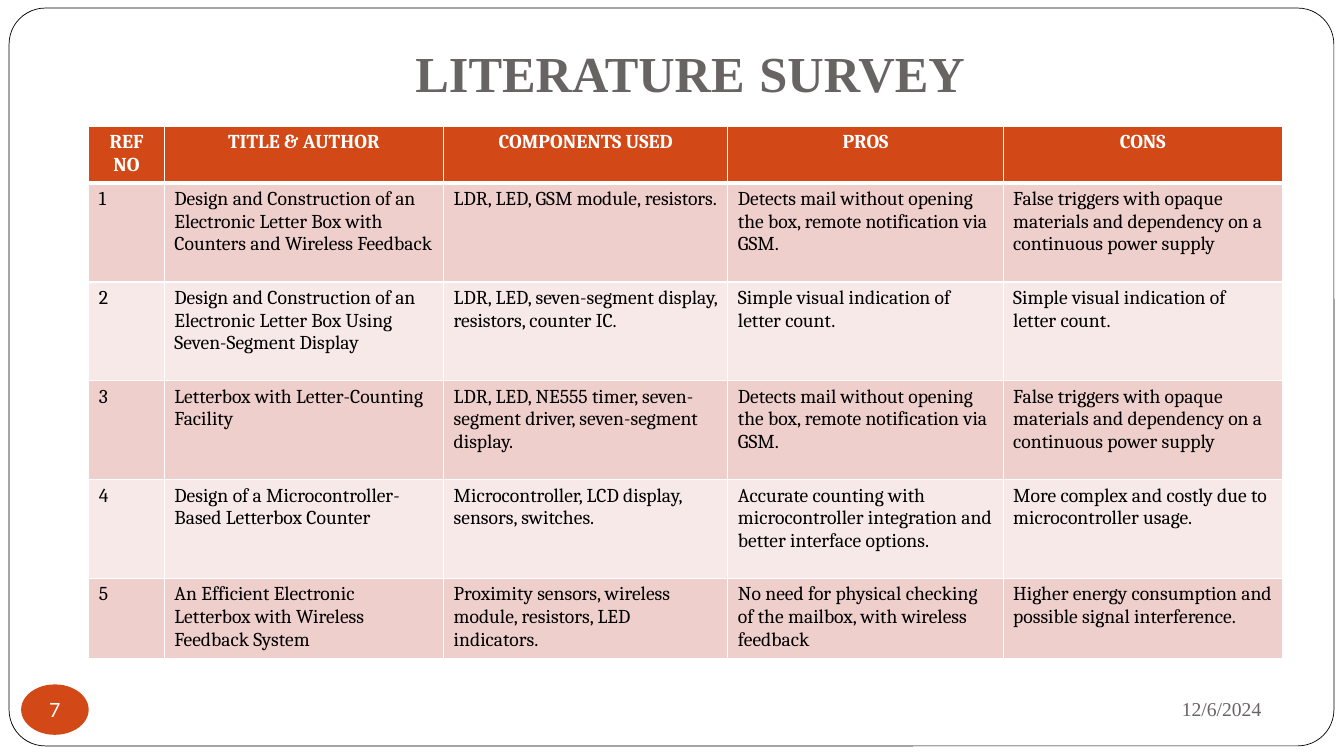
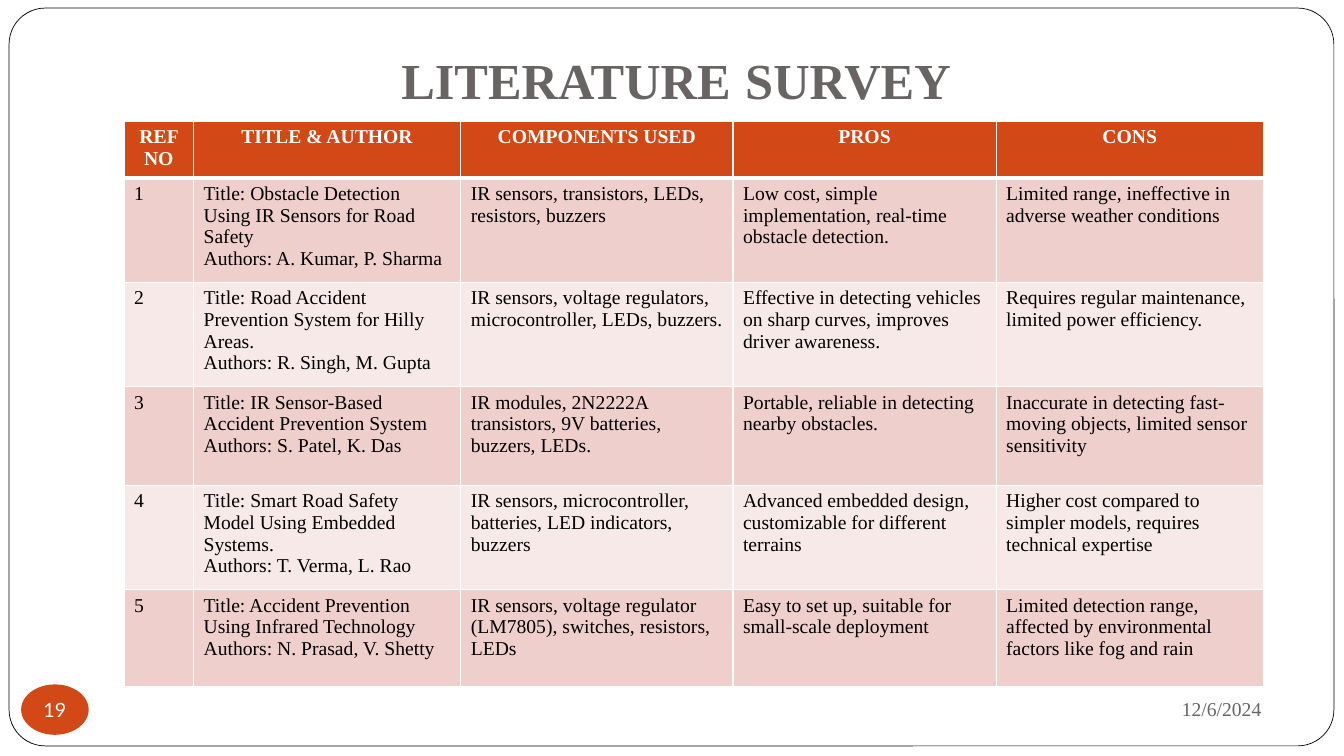
"""Build two literature survey slides with a shared frame, title, table style and footer."""
from lxml.etree import SubElement
from pptx import Presentation
from pptx.dml.color import RGBColor
from pptx.enum.shapes import MSO_SHAPE as Preset
from pptx.enum.text import MSO_ANCHOR as Anchor, PP_ALIGN as Align
from pptx.oxml.ns import qn
from pptx.util import Inches, Pt

WHITE = RGBColor(0xFF, 0xFF, 0xFF)
BLACK = RGBColor(0, 0, 0)
GREY = RGBColor(0x69, 0x64, 0x64)
ORANGE = RGBColor(0xD3, 0x48, 0x17)
BANDS = RGBColor(0xEF, 0xCF, 0xCC), RGBColor(0xF7, 0xE9, 0xE8)
SERIF, SANS = "Times New Roman", "Lato"

DATE = "12/6/2024"
TITLE_RUNS = [
    ("LITERATURE", dict(name=SERIF, size=Pt(36), bold=True)),
    (" ", dict(name=SANS, size=Pt(40), bold=False)),
    ("SURVEY", dict(name=SERIF, size=Pt(36), bold=True)),
]
HEADINGS = ["REF NO", "TITLE & AUTHOR", "COMPONENTS USED", "PROS", "CONS"]
HEADER_HEIGHT, ROW_HEIGHT = 0.53, 0.98

SURVEYS = [
    dict(
        number=7,
        title_box=(1.18, 0.3, 11.33, 0.83),
        table_at=(0.88, 1.25),
        columns=[0.75, 2.77, 2.82, 2.73, 2.77],
        last_row=0.75,
        font="Cambria",
        entries=[
            ("Design and Construction of an Electronic Letter Box with Counters and Wireless Feedback",
             "LDR, LED, GSM module, resistors.",
             "Detects mail without opening the box, remote notification via GSM.",
             "False triggers with opaque materials and dependency on a continuous power supply"),
            ("Design and Construction of an Electronic Letter Box Using Seven-Segment Display",
             "LDR, LED, seven-segment display, resistors, counter IC.",
             "Simple visual indication of letter count.",
             "Simple visual indication of letter count."),
            ("Letterbox with Letter-Counting Facility",
             "LDR, LED, NE555 timer, seven-segment driver, seven-segment display.",
             "Detects mail without opening the box, remote notification via GSM.",
             "False triggers with opaque materials and dependency on a continuous power supply"),
            ("Design of a Microcontroller-Based Letterbox Counter",
             "Microcontroller, LCD display, sensors, switches.",
             "Accurate counting with microcontroller integration and better interface options.",
             "More complex and costly due to microcontroller usage."),
            ("An Efficient Electronic Letterbox with Wireless Feedback System",
             "Proximity sensors, wireless module, resistors, LED indicators.",
             "No need for physical checking of the mailbox, with wireless feedback",
             "Higher energy consumption and possible signal interference."),
        ],
    ),
    dict(
        number=19,
        title_box=(1.04, -0.05, 11.33, 1.25),
        table_at=(1.23, 1.2),
        columns=[0.69, 2.65, 2.7, 2.61, 2.65],
        last_row=0.96,
        font=SERIF,
        entries=[
            ("Title: Obstacle Detection Using IR Sensors for Road Safety\nAuthors: A. Kumar, P. Sharma",
             "IR sensors, transistors, LEDs, resistors, buzzers",
             "Low cost, simple implementation, real-time obstacle detection.",
             "Limited range, ineffective in adverse weather conditions"),
            ("Title: Road Accident Prevention System for Hilly Areas.\nAuthors: R. Singh, M. Gupta",
             "IR sensors, voltage regulators, microcontroller, LEDs, buzzers.",
             "Effective in detecting vehicles on sharp curves, improves driver awareness.",
             "Requires regular maintenance, limited power efficiency."),
            ("Title: IR Sensor-Based Accident Prevention System\nAuthors: S. Patel, K. Das",
             "IR modules, 2N2222A transistors, 9V batteries, buzzers, LEDs.",
             "Portable, reliable in detecting nearby obstacles.",
             "Inaccurate in detecting fast-moving objects, limited sensor sensitivity"),
            ("Title: Smart Road Safety Model Using Embedded Systems.\nAuthors: T. Verma, L. Rao",
             "IR sensors, microcontroller, batteries, LED indicators, buzzers",
             "Advanced embedded design, customizable for different terrains",
             "Higher cost compared to simpler models, requires technical expertise"),
            ("Title: Accident Prevention Using Infrared Technology\nAuthors: N. Prasad, V. Shetty",
             "IR sensors, voltage regulator (LM7805), switches, resistors, LEDs",
             "Easy to set up, suitable for small-scale deployment",
             "Limited detection range, affected by environmental factors like fog and rain"),
        ],
    ),
]


def set_values(target, values):
    for name, value in values.items():
        setattr(target, name, value)


def add_run(paragraph, text, color, font):
    run = paragraph.add_run()
    run.text = text
    set_values(run.font, font)
    run.font.color.rgb = color


def write(frame, text, color, align, font):
    frame.text = ""
    for index, line in enumerate(text.split("\n")):
        paragraph = frame.add_paragraph() if index else frame.paragraphs[0]
        paragraph.alignment = align
        add_run(paragraph, line, color, font)


def add_shape(slide, preset, box, fill):
    shape = slide.shapes.add_shape(preset, *map(Inches, box))
    shape.shadow.inherit = False
    shape.fill.solid()
    shape.fill.fore_color.rgb = fill
    return shape


def add_text_box(slide, box, anchor):
    frame = slide.shapes.add_textbox(*map(Inches, box)).text_frame
    set_values(frame, dict(word_wrap=True, vertical_anchor=anchor))
    return frame


def add_frame(slide):
    border = add_shape(slide, Preset.ROUNDED_RECTANGLE, (0.09, 0.08, 13.14, 7.32), WHITE)
    border.adjustments[0] = 0.049
    border.line.color.rgb = BLACK
    border.line.width = Pt(0.5)


def add_title(slide, box):
    frame = add_text_box(slide, box, Anchor.BOTTOM)
    frame.margin_bottom = Inches(0.1)
    frame.paragraphs[0].alignment = Align.CENTER
    for text, font in TITLE_RUNS:
        add_run(frame.paragraphs[0], text, GREY, font)


def add_footer(slide, number):
    date = add_text_box(slide, (9, 6.77, 3.61, 0.52), Anchor.MIDDLE)
    write(date, DATE, GREY, Align.RIGHT, dict(name=SERIF, size=Pt(14)))
    badge = add_shape(slide, Preset.OVAL, (0.21, 6.79, 0.67, 0.5), ORANGE)
    badge.line.fill.background()
    set_values(badge.text_frame, dict(
        margin_left=0, margin_right=0, margin_top=0, margin_bottom=0,
        word_wrap=False, vertical_anchor=Anchor.MIDDLE))
    write(badge.text_frame, str(number), WHITE, Align.CENTER, dict(name=SANS, size=Pt(14)))


def style_cell(cell, row, fill):
    widths = dict(lnL=1, lnR=1, lnT=3 if row == 1 else 1, lnB=1 if row else 3)
    properties = cell._tc.get_or_add_tcPr()
    for side, width in widths.items():
        line = SubElement(properties, qn(f"a:{side}"), w=str(Pt(width)))
        solid = SubElement(line, qn("a:solidFill"))
        SubElement(solid, qn("a:srgbClr"), val=str(WHITE))
    cell.fill.solid()
    cell.fill.fore_color.rgb = fill


def add_survey_table(slide, survey):
    entries, columns = survey["entries"], survey["columns"]
    rows = [HEADINGS] + [(str(number), *entry) for number, entry in enumerate(entries, 1)]
    heights = [HEADER_HEIGHT] + [ROW_HEIGHT] * (len(entries) - 1) + [survey["last_row"]]
    box = *survey["table_at"], sum(columns), sum(heights)
    table = slide.shapes.add_table(len(rows), len(columns), *map(Inches, box)).table
    table.horz_banding = False
    for column, width in zip(table.columns, columns):
        column.width = Inches(width)
    for index, (texts, height) in enumerate(zip(rows, heights)):
        table.rows[index].height = Inches(height)
        header = index == 0
        fill = ORANGE if header else BANDS[(index - 1) % 2]
        color, align = (WHITE, Align.CENTER) if header else (BLACK, Align.LEFT)
        font = dict(name=survey["font"], size=Pt(14), bold=header)
        for cell, text in zip(table.rows[index].cells, texts):
            style_cell(cell, index, fill)
            write(cell.text_frame, text, color, align, font)


def main():
    presentation = Presentation()
    set_values(presentation, dict(slide_width=Inches(13.33), slide_height=Inches(7.5)))
    for survey in SURVEYS:
        slide = presentation.slides.add_slide(presentation.slide_layouts[6])
        add_frame(slide)
        add_title(slide, survey["title_box"])
        add_survey_table(slide, survey)
        add_footer(slide, survey["number"])
    presentation.save("out.pptx")


if __name__ == "__main__":
    main()
